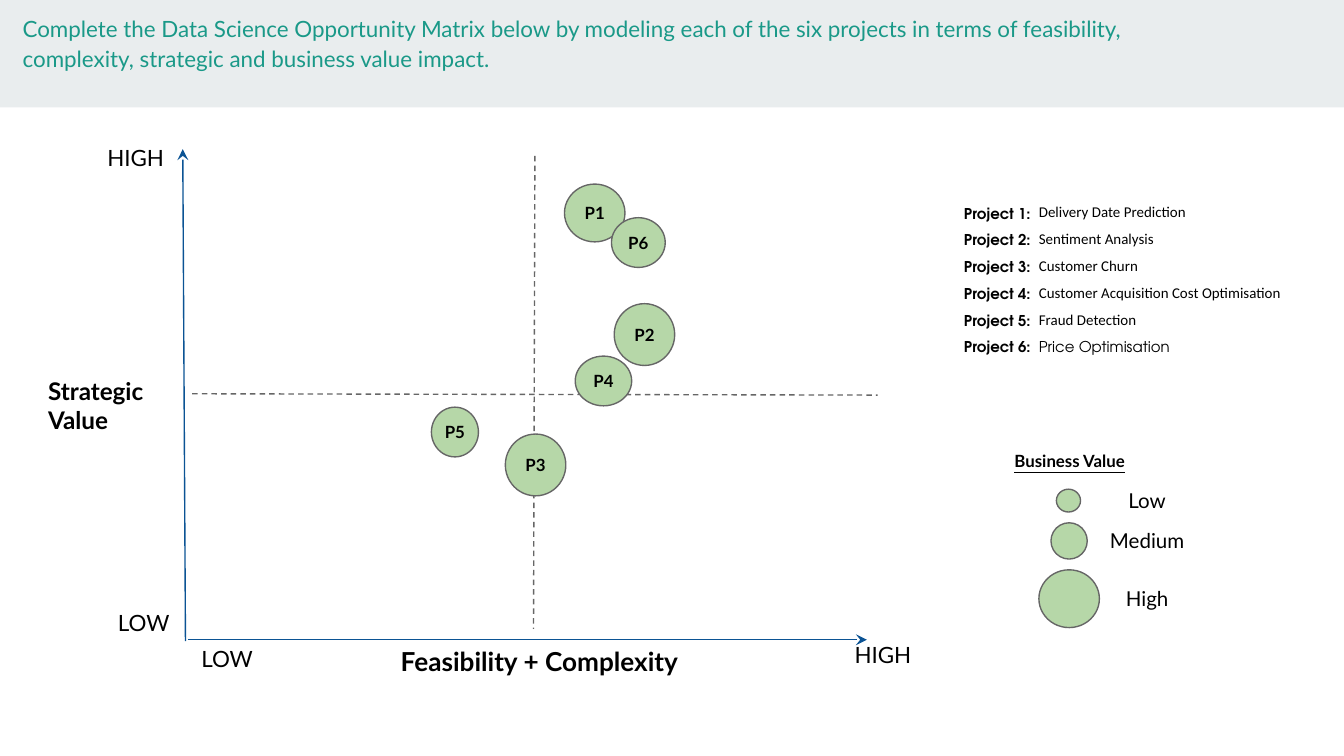
from lxml import etree
from pptx import Presentation
from pptx import util as u
from pptx.dml.color import RGBColor
from pptx.enum import dml, shapes, text
from pptx.oxml.ns import qn

BLACK, GREY, GREEN, BLUE, TEAL = "000000", "666666", "B6D7A8", "0B5394", "1A9988"
LEFT, CENTER, RIGHT = text.PP_ALIGN.LEFT, text.PP_ALIGN.CENTER, text.PP_ALIGN.RIGHT

GUIDES = [(3.98, 1.16, 3.97, 4.68), (1.43, 2.93, 6.53, 2.94)]
AXES = [(1.36, 1.11, 1.38, 4.77), (6.45, 4.76, 1.4, 4.76)]
AXIS_ENDS = [
    ("HIGH", 0.7, 1, 0.82, 0.17),
    ("LOW", 1.4, 4.7, 0.67, 0.24),
    ("LOW", 0.78, 4.43, 0.67, 0.24),
    ("HIGH", 6.26, 4.7, 0.82, 0.17),
]
PROJECTS = [
    ("Delivery Date Prediction", "Calibri"),
    ("Sentiment Analysis", "Calibri"),
    ("Customer Churn", "Calibri"),
    ("Customer Acquisition Cost Optimisation", "Calibri"),
    ("Fraud Detection", "Calibri"),
    ("Price Optimisation", "TeX Gyre Adventor"),
]
BUBBLES = [
    ("P1", 4.2, 1.37, 0.45, 0.43),
    ("P2", 4.57, 2.26, 0.45, 0.46),
    ("P3", 3.76, 3.23, 0.45, 0.46),
    ("P4", 4.28, 2.65, 0.42, 0.37),
    ("P5", 3.21, 3.03, 0.35, 0.37),
    ("P6", 4.55, 1.62, 0.4, 0.37),
]
LEGEND = [
    ("Low", 3.54, (7.86, 3.64, 0.18, 0.17)),
    ("Medium", 3.84, (7.82, 3.89, 0.27, 0.27)),
    ("High", 4.27, (7.73, 4.24, 0.45, 0.43)),
]


def rgb(value):
    return RGBColor.from_string(value)


def inches(values):
    return [u.Inches(value) for value in values]


def write(frame, words, size, color=BLACK, font="Lato", bold=False,
          underline=False, align=LEFT, spacing=None):
    paragraph = frame.paragraphs[0]
    paragraph.alignment = align
    if spacing:
        paragraph.line_spacing = spacing
    run = paragraph.add_run()
    run.text = words
    run.font.size = u.Pt(size)
    run.font.name = font
    run.font.bold = bold
    run.font.underline = underline
    run.font.color.rgb = rgb(color)


def set_margins(target, horizontal, vertical):
    target.margin_left = target.margin_right = u.Inches(horizontal)
    target.margin_top = target.margin_bottom = u.Inches(vertical)


def add_label(slide, words, box, size, **style):
    frame = slide.shapes.add_textbox(*inches(box)).text_frame
    frame.word_wrap = True
    set_margins(frame, 0.1, 0.1)
    write(frame, words, size, **style)


def add_band(slide):
    band = slide.shapes.add_shape(shapes.MSO_SHAPE.RECTANGLE, *inches((0, 0, 10, 0.8)))
    band.shadow.inherit = False
    band.fill.solid()
    band.fill.fore_color.rgb = rgb("E9EDEE")
    band.line.fill.background()


def add_bubble(slide, box, words=None):
    bubble = slide.shapes.add_shape(shapes.MSO_SHAPE.OVAL, *inches(box))
    bubble.shadow.inherit = False
    bubble.fill.solid()
    bubble.fill.fore_color.rgb = rgb(GREEN)
    bubble.line.color.rgb = rgb(GREY)
    bubble.line.width = u.Pt(0.75)
    if words:
        frame = bubble.text_frame
        set_margins(frame, 0, 0)
        frame.vertical_anchor = text.MSO_ANCHOR.MIDDLE
        write(frame, words, 9, bold=True, align=CENTER)


def add_line(slide, ends, color, dashed=False, arrow=False):
    connector = slide.shapes.add_connector(shapes.MSO_CONNECTOR.STRAIGHT, *inches(ends))
    connector.line.color.rgb = rgb(color)
    connector.line.width = u.Pt(0.75)
    if dashed:
        connector.line.dash_style = dml.MSO_LINE.DASH
    if arrow:
        outline = connector.line._get_or_add_ln()
        etree.SubElement(outline, qn("a:headEnd"), type="stealth", w="med", len="med")
    etree.SubElement(connector._element.spPr, qn("a:effectLst"))


def add_project_table(slide):
    frame = slide.shapes.add_table(len(PROJECTS), 2, *inches((7.03, 1.47, 3.05, 1.11)))
    table = frame.table
    table.first_row = table.horz_banding = False
    for column, width in zip(table.columns, (0.67, 2.38)):
        column.width = u.Inches(width)
    for index, (project, font) in enumerate(PROJECTS):
        table.rows[index].height = u.Inches(0.17 if index == len(PROJECTS) - 1 else 0.2)
        name, title = table.rows[index].cells
        for cell in (name, title):
            cell.fill.background()
            cell.vertical_anchor = text.MSO_ANCHOR.BOTTOM
            set_margins(cell, 0.03, 0.02)
        write(name.text_frame, f"Project {index + 1}:", 8, font="TeX Gyre Adventor",
              bold=True, align=RIGHT, spacing=1.15)
        write(title.text_frame, project, 8, font=font, spacing=1.15)


def add_legend(slide):
    add_label(slide, "Business Value", (7.45, 3.28, 1.86, 0.37), 9, bold=True, underline=True)
    for words, top, circle in LEGEND:
        add_bubble(slide, circle)
        add_label(slide, words, (8.14, top, 0.79, 0.37), 11, align=CENTER)


def main():
    presentation = Presentation()
    presentation.slide_width = u.Inches(10)
    presentation.slide_height = u.Inches(10 * 9 / 16)
    slide = presentation.slides.add_slide(presentation.slide_layouts[6])

    add_band(slide)
    add_label(slide, "Complete the Data Science Opportunity Matrix below by modeling each of "
              "the six projects in terms of feasibility, complexity, strategic and business "
              "value impact.", (0.07, -0.02, 8.44, 0.37), 12, color=TEAL, spacing=1.15)
    for ends in GUIDES:
        add_line(slide, ends, GREY, dashed=True)
    for ends in AXES:
        add_line(slide, ends, BLUE, arrow=True)
    add_label(slide, "Strategic Value", (0.26, 2.7, 1.18, 0.45), 13, bold=True)
    add_label(slide, "Feasibility + Complexity", (2.28, 4.7, 3.47, 0.45), 14,
              bold=True, align=CENTER)
    for words, *box in AXIS_ENDS:
        add_label(slide, words, box, 12)
    add_project_table(slide)
    add_legend(slide)
    for words, *box in BUBBLES:
        add_bubble(slide, box, words)
    presentation.save("out.pptx")


if __name__ == "__main__":
    main()
